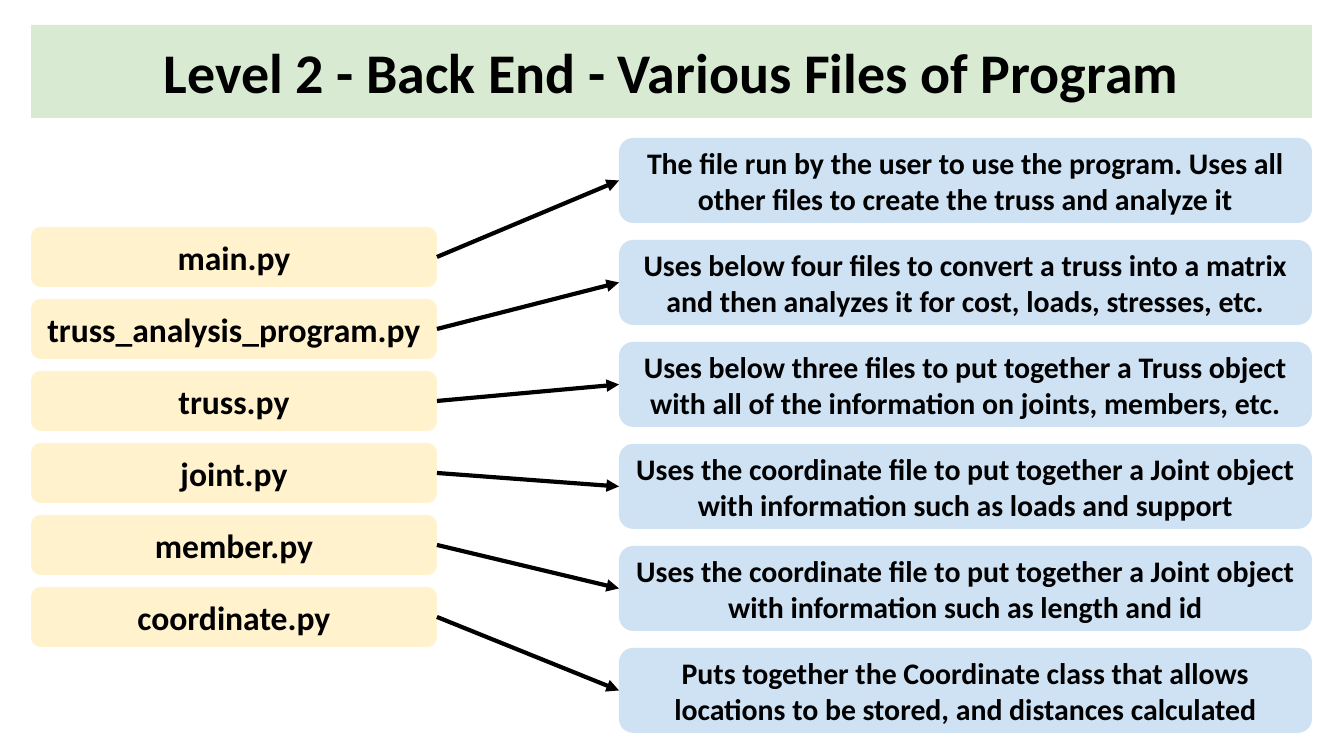
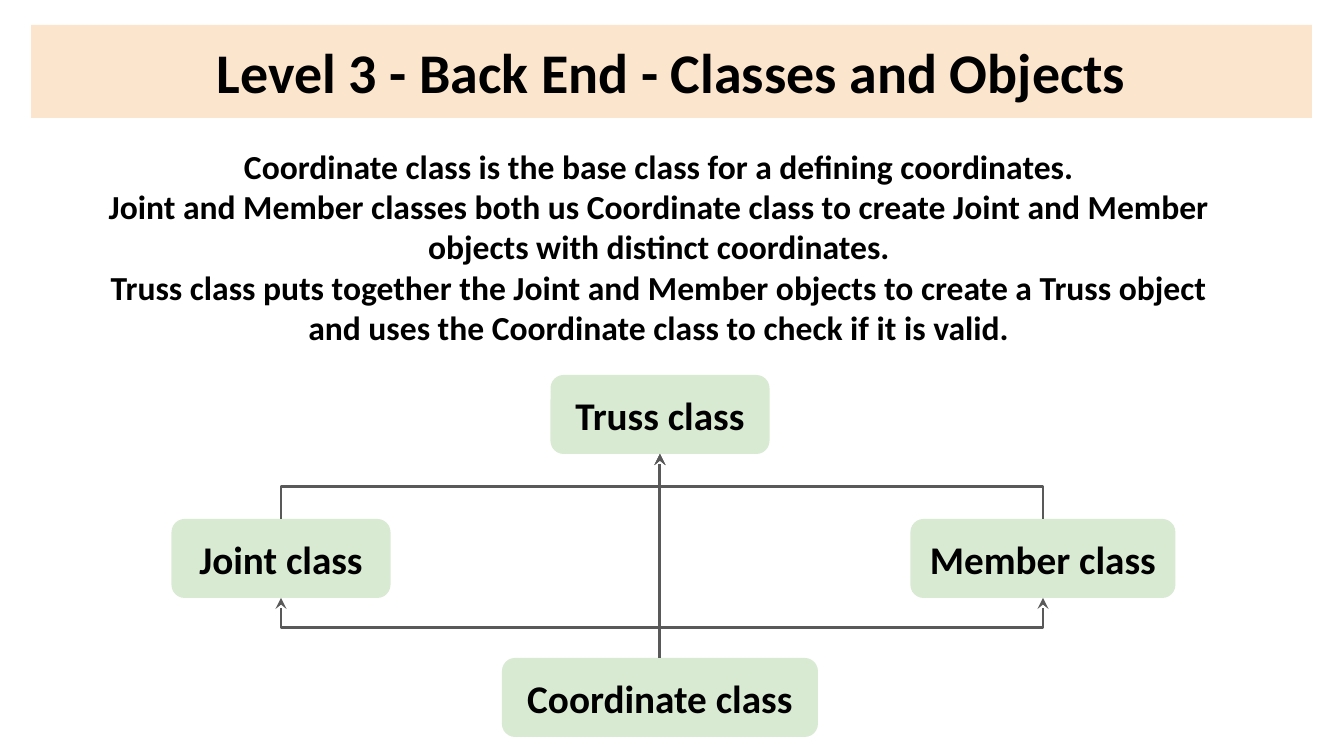
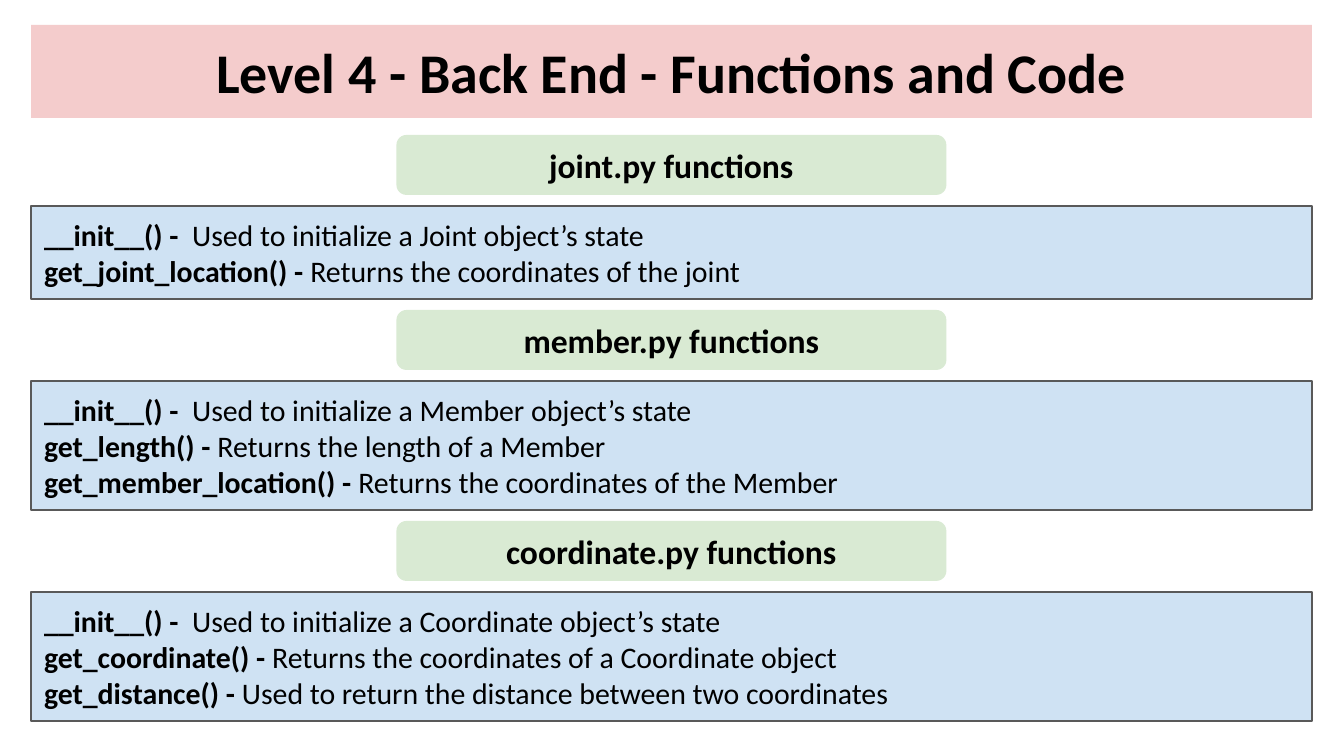
from lxml import etree
from pptx import Presentation
from pptx.dml.color import RGBColor
from pptx.enum import shapes, text
from pptx.oxml import ns
from pptx.util import Pt

SCALE = 914400 / 134.4
WIDE, HIGH = 1344, 756
LEFT, SPAN = 31, 1281
BAND = (LEFT, 25, SPAN, 93)
INSET = 13

FONT = "Calibri"
BLACK = RGBColor(0x00, 0x00, 0x00)
GREY = RGBColor(0x59, 0x59, 0x59)
GREEN = RGBColor(0xD9, 0xEA, 0xD3)
YELLOW = RGBColor(0xFF, 0xF2, 0xCC)
BLUE = RGBColor(0xCF, 0xE2, 0xF3)
ORANGE = RGBColor(0xFC, 0xE5, 0xCD)
RED = RGBColor(0xF4, 0xCC, 0xCC)

ROUND = shapes.MSO_SHAPE.ROUNDED_RECTANGLE
RECT = shapes.MSO_SHAPE.RECTANGLE
TOP, SIDE, BASE, END = range(4)  # connection sites of a box

FILES = [
    ("main.py", "The file run by the user to use the program. Uses all "
     "other files to create the truss and analyze it"),
    ("truss_analysis_program.py", "Uses below four files to convert a truss into a matrix "
     "and then analyzes it for cost, loads, stresses, etc."),
    ("truss.py", "Uses below three files to put together a Truss object "
     "with all of the information on joints, members, etc."),
    ("joint.py", "Uses the coordinate file to put together a Joint object "
     "with information such as loads and support"),
    ("member.py", "Uses the coordinate file to put together a Joint object "
     "with information such as length and id"),
    ("coordinate.py", "Puts together the Coordinate class that allows "
     "locations to be stored, and distances calculated"),
]
INTRO = [
    "Coordinate class is the base class for a defining coordinates.",
    "Joint and Member classes both us Coordinate class to create Joint and Member "
    "objects with distinct coordinates.",
    "Truss class puts together the Joint and Member objects to create a Truss object "
    "and uses the Coordinate class to check if it is valid.",
]
CODE = [
    ("joint.py functions", [
        ("__init__() - ", " Used to initialize a Joint object’s state"),
        ("get_joint_location() - ", "Returns the coordinates of the joint")]),
    ("member.py functions", [
        ("__init__() - ", " Used to initialize a Member object’s state"),
        ("get_length() - ", "Returns the length of a Member"),
        ("get_member_location() - ", "Returns the coordinates of the Member")]),
    ("coordinate.py functions", [
        ("__init__() - ", " Used to initialize a Coordinate object’s state"),
        ("get_coordinate() - ", "Returns the coordinates of a Coordinate object"),
        ("get_distance() - ", "Used to return the distance between two coordinates")]),
]


def px(n):
    return round(n * SCALE)


def write(shape, paras, size=18, align=text.PP_ALIGN.CENTER):
    """Fill a shape; each paragraph is a bold string or a (bold, plain) pair."""
    frame = shape.text_frame
    frame.word_wrap = True
    frame.auto_size = text.MSO_AUTO_SIZE.NONE
    frame.vertical_anchor = text.MSO_ANCHOR.MIDDLE
    frame.margin_left = frame.margin_right = px(INSET)
    frame.margin_top = frame.margin_bottom = px(INSET)
    for i, words in enumerate(paras):
        para = frame.paragraphs[0] if i == 0 else frame.add_paragraph()
        para.alignment = align
        parts = (words,) if isinstance(words, str) else words
        for j, part in enumerate(parts):
            run = para.add_run()
            run.text = part
            font = run.font
            font.name, font.size, font.bold = FONT, Pt(size), j == 0
            font.color.rgb = BLACK


def block(slide, box, paras, fill, kind=ROUND, line=None, **form):
    shape = slide.shapes.add_shape(kind, *map(px, box))
    shape.shadow.inherit = False
    shape.fill.solid()
    shape.fill.fore_color.rgb = fill
    if line is None:
        shape.line.fill.background()
    else:
        shape.line.color.rgb = line
        shape.line.width = Pt(0.75)
    write(shape, paras, **form)
    return shape


def link(slide, kind, start, end, color, width, tip, head):
    """Join two (shape, site) pairs; tip is headEnd or tailEnd."""
    line = slide.shapes.add_connector(kind, 0, 0, 0, 0)
    line.begin_connect(*start)
    line.end_connect(*end)
    line.line.color.rgb = color
    line.line.width = Pt(width)
    props = line.element.spPr
    etree.SubElement(props.find(ns.qn("a:ln")), ns.qn("a:" + tip), type=head)
    etree.SubElement(props, ns.qn("a:effectLst"))
    return line


def bend(slide, upper, lower):
    """Run an elbow down from upper to lower, with the arrowhead at upper."""
    line = link(slide, shapes.MSO_CONNECTOR.ELBOW, (upper, BASE), (lower, TOP),
                GREY, 1.5, "headEnd", "stealth")
    x, y = line.begin_x, line.begin_y
    across, down = line.end_x - x, line.end_y - y
    line.width, line.height = down, abs(across)
    line.left = x + (across - down) // 2
    line.top = y + (down - abs(across)) // 2
    form = line.element.spPr.find(ns.qn("a:xfrm"))
    right = across >= 0
    form.set("rot", str((270 if right else 90) * 60000))
    form.set("flipH", str(int(right)))
    form.set("flipV", "0")


def page(deck, name, fill):
    slide = deck.slides.add_slide(deck.slide_layouts[5])
    title = slide.shapes.title
    title.left, title.top, title.width, title.height = map(px, BAND)
    shape = etree.SubElement(title.element.spPr, ns.qn("a:prstGeom"), prst="roundRect")
    etree.SubElement(shape, ns.qn("a:avLst"))
    title.fill.solid()
    title.fill.fore_color.rgb = fill
    write(title, [name], size=30)
    return slide


def files(slide, left, top, width):
    """Pair each file with its note, both columns evenly spaced."""
    note = 693
    for i, (name, about) in enumerate(FILES):
        file = block(slide, (left, top + 89 + 72 * i, 406, 60), [name], YELLOW)
        use = block(slide, (left + width - note, top + 102 * i, note, 85),
                    [about], BLUE, size=16)
        link(slide, shapes.MSO_CONNECTOR.STRAIGHT, (file, END), (use, SIDE),
             BLACK, 2.25, "tailEnd", "triangle")


def tree(slide, left, top):
    def node(name, mid, drop, width):
        box = (left + mid - width / 2, top + drop, width, 79)
        return block(slide, box, [name], GREEN, size=21)

    truss = node("Truss class", 489, 0, 219)
    joint = node("Joint class", 110, 144, 219)
    member = node("Member class", 872, 144, 265)
    base = node("Coordinate class", 489, 283, 316)
    for upper, lower in ((truss, joint), (truss, member), (truss, base),
                         (joint, base), (member, base)):
        bend(slide, upper, lower)


def code(slide, left, top, width):
    """Stack a label and a list for each file."""
    gap, high, label = 11, 60, 550
    for name, calls in CODE:
        block(slide, (left + (width - label) / 2, top, label, high), [name], GREEN)
        top += high + gap
        tall = 21 + 36 * len(calls)
        block(slide, (left, top, width, tall), calls, BLUE, kind=RECT, line=GREY,
              size=16, align=text.PP_ALIGN.LEFT)
        top += tall + gap


def main():
    deck = Presentation()
    deck.slide_width, deck.slide_height = px(WIDE), px(HIGH)

    files(page(deck, "Level 2 - Back End - Various Files of Program", GREEN),
          LEFT, 138, SPAN)

    slide = page(deck, "Level 3 - Back End - Classes and Objects", ORANGE)
    tree(slide, 171, 375)
    write(slide.shapes.add_textbox(px(83), px(145), px(1152), px(203)), INTRO)

    code(page(deck, "Level 4 - Back End - Functions and Code", RED), LEFT, 135, SPAN)
    deck.save("out.pptx")


if __name__ == "__main__":
    main()
